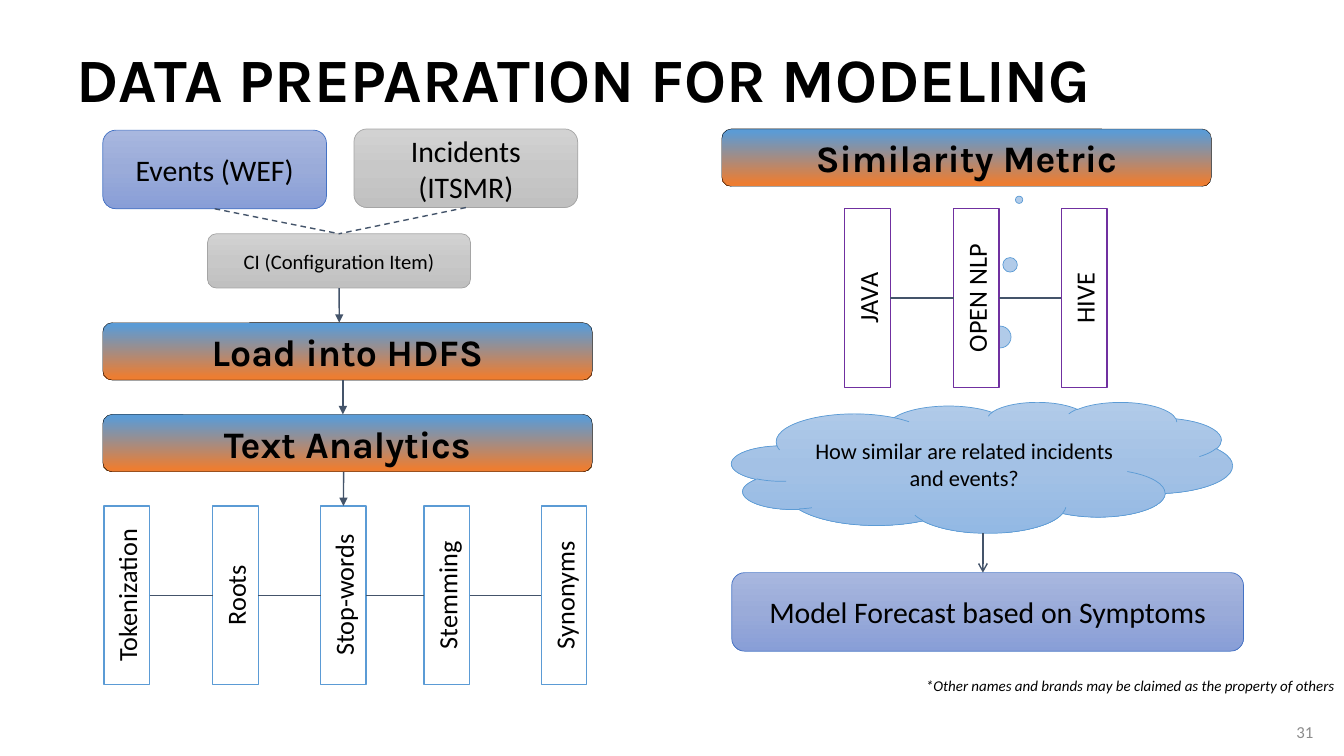
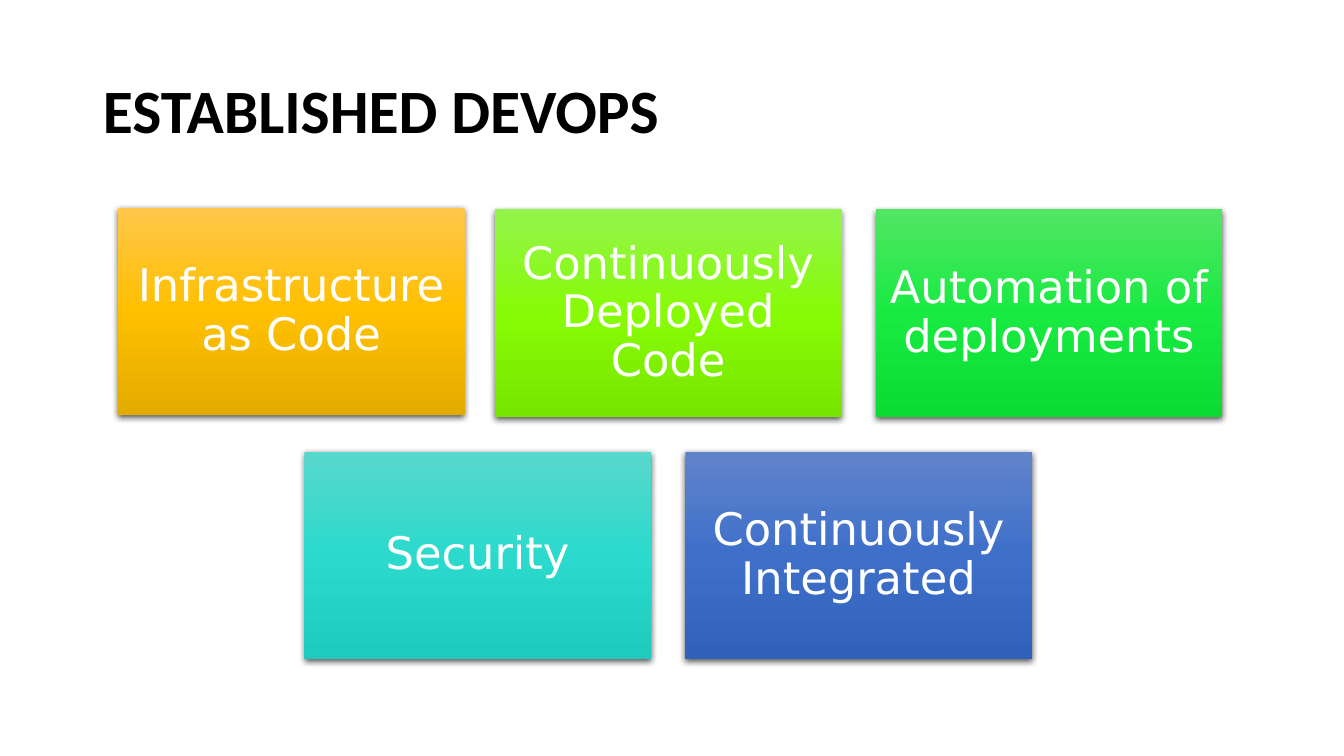
import pptx
import pptx.dml.color
import pptx.enum.dml
import pptx.enum.shapes
import pptx.enum.text
import pptx.oxml.ns
import pptx.util
from lxml import etree

Cm = pptx.util.Cm
Pt = pptx.util.Pt
RGBColor = pptx.dml.color.RGBColor
SHAPE = pptx.enum.shapes.MSO_SHAPE
ALIGN = pptx.enum.text.PP_ALIGN
ANCHOR = pptx.enum.text.MSO_ANCHOR
qn = pptx.oxml.ns.qn

# Colours
BLACK = RGBColor(0x00, 0x00, 0x00)
WHITE = RGBColor(0xFF, 0xFF, 0xFF)
GRAY = RGBColor(0xA5, 0xA5, 0xA5)
NUMBER_GRAY = RGBColor(0x8C, 0x8C, 0x8C)
SLATE = RGBColor(0x44, 0x54, 0x6A)
BLUE = RGBColor(0x5B, 0x9B, 0xD5)
INDIGO = RGBColor(0x44, 0x72, 0xC4)
PURPLE = RGBColor(0x70, 0x30, 0xA0)
ORANGE = RGBColor(0xED, 0x7D, 0x31)


def even_stops(*hex_colors):
    """Three colours placed at the start, middle and end of a gradient."""
    return [(position, RGBColor.from_string(color))
            for position, color in zip((0, 50, 100), hex_colors)]


BAND_STOPS = [(5, BLUE), (95, ORANGE)]
INDIGO_STOPS = even_stops("A8B7DF", "9AABD9", "889ED7")
GRAY_STOPS = even_stops("D2D2D2", "C8C8C8", "C0C0C0")
CLOUD_STOPS = even_stops("B1CBE9", "A3C1E5", "93B9E4")

# Shared sizes, in centimetres
BAND_WIDTH, BAND_HEIGHT = 12.34, 1.45
LEFT_EDGE = 2.59
BOX_HEIGHT = 1.98
STRIP_WIDTH, STRIP_HEIGHT = 1.15, 4.5
CARD_WIDTH, CARD_HEIGHT = 8.74, 5.23

# Rows of upright labels: text and left edge
ANALYTICS_STEPS = [("Tokenization", 2.62), ("Roots", 5.36), ("Stop-words", 8.08),
                   ("Stemming", 10.69), ("Synonyms", 13.64)]
SIMILARITY_TOOLS = [("JAVA", 21.29), ("OPEN NLP", 24.03), ("HIVE", 26.75)]

# Cards: text, left, top, gradient
CARDS = [
    ("Infrastructure as Code", 2.97, 5.23, even_stops("FFC64B", "FFC000", "E3AB00")),
    ("Continuously Deployed Code", 12.47, 5.28, even_stops("94F44C", "87FB06", "78E500")),
    ("Automation of deployments", 22.07, 5.28, even_stops("51E663", "19EA42", "0CDB34")),
    ("Security", 7.67, 11.38, even_stops("58D8CC", "2BDACC", "1ECBBD")),
    ("Continuously Integrated", 17.27, 11.38, even_stops("6183CB", "3E70CA", "3062BB")),
]


def box(left, top, width, height):
    return Cm(left), Cm(top), Cm(width), Cm(height)


def set_text(shape, text, size, color=BLACK, font="Calibri", bold=False,
             italic=False, align=ALIGN.CENTER, spacing=None):
    frame = shape.text_frame
    frame.word_wrap = True
    frame.vertical_anchor = ANCHOR.MIDDLE
    frame.text = text
    paragraph = frame.paragraphs[0]
    paragraph.alignment = align
    paragraph.line_spacing = spacing
    run_font = paragraph.runs[0].font
    run_font.name, run_font.size = font, Pt(size)
    run_font.bold, run_font.italic = bold, italic
    run_font.color.rgb = color


def set_margins(shape, horizontal, vertical):
    frame = shape.text_frame
    frame.margin_left = frame.margin_right = Cm(horizontal)
    frame.margin_top = frame.margin_bottom = Cm(vertical)


def set_gradient(shape, stops):
    """Fill from top to bottom with (percent, colour) stops."""
    shape.fill.gradient()
    gradient = shape.element.spPr.find(qn("a:gradFill"))
    for child in list(gradient):
        gradient.remove(child)
    stop_list = etree.SubElement(gradient, qn("a:gsLst"))
    for position, color in stops:
        stop = etree.SubElement(stop_list, qn("a:gs"), pos=str(position * 1000))
        etree.SubElement(stop, qn("a:srgbClr"), val=str(color))
    etree.SubElement(gradient, qn("a:lin"), ang="5400000", scaled="0")


def set_line(line, color, width):
    line.color.rgb = color
    line.width = Pt(width)


def add_slide(presentation, title, bounds, font):
    slide = presentation.slides.add_slide(presentation.slide_layouts[5])
    shape = slide.shapes.title
    shape.left, shape.top, shape.width, shape.height = box(*bounds)
    set_text(shape, title, 44, font=font, bold=True, align=ALIGN.LEFT, spacing=0.9)
    shape.text_frame.auto_size = pptx.enum.text.MSO_AUTO_SIZE.NONE
    return slide


def add_block(slide, text, bounds, stops, line_color, size,
              kind=SHAPE.ROUNDED_RECTANGLE, line_width=0.5, **style):
    shape = slide.shapes.add_shape(kind, *box(*bounds))
    shape.shadow.inherit = False
    set_gradient(shape, stops)
    set_line(shape.line, line_color, line_width)
    set_text(shape, text, size, **style)
    return shape


def add_band(slide, text, left, top):
    return add_block(slide, text, (left, top, BAND_WIDTH, BAND_HEIGHT), BAND_STOPS,
                     BLACK, 26.7, line_width=0.25, font="Karla", bold=True)


def add_connector(slide, start, end, arrow=None, dashed=False):
    """Each end is a point (x, y) or a (shape, site) pair to join."""
    points = [(0, 0) if hasattr(place[0], "shape_id") else place for place in (start, end)]
    connector = slide.shapes.add_connector(
        pptx.enum.shapes.MSO_CONNECTOR.STRAIGHT,
        *[Cm(value) for point in points for value in point])
    for place, join in ((start, connector.begin_connect), (end, connector.end_connect)):
        if hasattr(place[0], "shape_id"):
            join(*place)
    set_line(connector.line, SLATE, 1)
    if dashed:
        connector.line.dash_style = pptx.enum.dml.MSO_LINE.DASH
    properties = connector.element.spPr
    if arrow:
        etree.SubElement(properties.find(qn("a:ln")), qn("a:tailEnd"), type=arrow)
    etree.SubElement(properties, qn("a:effectLst"))


def add_strips(slide, labels, top, line_color):
    """A row of upright labels joined side to side."""
    strips = []
    for text, left in labels:
        strip = slide.shapes.add_shape(
            SHAPE.RECTANGLE, *box(left, top, STRIP_WIDTH, STRIP_HEIGHT))
        strip.shadow.inherit = False
        strip.fill.solid()
        strip.fill.fore_color.rgb = WHITE
        set_line(strip.line, line_color, 1)
        set_text(strip, text, 18.7)
        set_margins(strip, 0.13, 0.25)
        strip.text_frame._txBody.bodyPr.set("vert", "vert270")
        strips.append(strip)
    for before, after in zip(strips, strips[1:]):
        add_connector(slide, (before, 3), (after, 1))
    return strips


def add_slide_number(slide, number):
    text_box = slide.shapes.add_textbox(*box(25.45, 17.93, 7.9, 1.02))
    set_text(text_box, str(number), 12, color=NUMBER_GRAY, align=ALIGN.RIGHT)
    run = text_box.text_frame.paragraphs[0].runs[0]._r
    field = etree.Element(qn("a:fld"), type="slidenum",
                          id="{B6F15528-21DE-4FAA-801E-634DDDAF4B2B}")
    run.addprevious(field)
    field.extend(list(run))
    field.getparent().remove(run)


def add_card(slide, text, left, top, stops):
    card = slide.shapes.add_shape(SHAPE.RECTANGLE, *box(left, top, CARD_WIDTH, CARD_HEIGHT))
    card.shadow.inherit = False
    set_gradient(card, stops)
    card.line.fill.background()
    set_text(card, text, 32, color=WHITE, font="DejaVu Sans", spacing=0.9)
    set_margins(card, 0.33, 0.33)
    # Soft shadow below the card
    shadow = etree.SubElement(
        card.element.spPr.find(qn("a:effectLst")), qn("a:outerShdw"),
        blurRad=str(Pt(4.5)), dist=str(Pt(1.5)), dir="5400000", rotWithShape="0")
    color = etree.SubElement(shadow, qn("a:srgbClr"), val=str(BLACK))
    etree.SubElement(color, qn("a:alpha"), val="63000")


def build_preparation(presentation):
    slide = add_slide(presentation, "DATA PREPARATION FOR MODELING",
                      (1.68, 0.84, 30.48, 2.46), "Karla")

    # Left: from sources to text analytics
    add_band_top = 8.13
    add_band(slide, "Load into HDFS", LEFT_EDGE, add_band_top)
    events = add_block(slide, "Events (WEF)", (LEFT_EDGE, 3.28, 5.64, BOX_HEIGHT),
                       INDIGO_STOPS, INDIGO, 21.3)
    incidents = add_block(slide, "Incidents (ITSMR)", (8.92, 3.25, 5.64, BOX_HEIGHT),
                          GRAY_STOPS, GRAY, 21.3)
    item = add_block(slide, "CI (Configuration Item)", (5.23, 5.89, 6.63, 1.37),
                     GRAY_STOPS, GRAY, 14.7)
    add_connector(slide, (item, 2), (8.55, add_band_top), arrow="triangle")
    for source in (events, incidents):
        add_connector(slide, (source, 2), (item, 0), dashed=True)
    add_band(slide, "Text Analytics", LEFT_EDGE, 10.44)
    add_connector(slide, (8.64, 9.58), (8.64, 10.44), arrow="triangle")
    steps = add_strips(slide, ANALYTICS_STEPS, 12.75, BLUE)
    add_connector(slide, (8.66, 11.89), (steps[2], 0), arrow="triangle")

    # Right: similarity and forecast
    add_band(slide, "Similarity Metric", 18.19, 3.25)
    cloud = add_block(slide, "How similar are related incidents and events?",
                      (18.44, 10.13, 12.62, 3.3), CLOUD_STOPS, BLUE, 16,
                      kind=SHAPE.CLOUD_CALLOUT)
    cloud.adjustments[0], cloud.adjustments[1] = 0.074, -2.044
    add_strips(slide, SIMILARITY_TOOLS, 5.26, PURPLE)
    add_block(slide, "Model Forecast based on Symptoms", (18.44, 14.43, 12.9, BOX_HEIGHT),
              INDIGO_STOPS, INDIGO, 21.3)
    add_connector(slide, (24.77, 13.44), (24.77, 14.43), arrow="arrow")

    # Footer
    note = slide.shapes.add_textbox(*box(22.66, 16.89, 11.18, 0.79))
    set_text(note, "*Other names and brands may be claimed as the property of others",
             10.7, italic=True, align=ALIGN.RIGHT, spacing=0.95)
    set_margins(note, 0.2, 0.17)
    add_slide_number(slide, 31)


def build_devops(presentation):
    slide = add_slide(presentation, "ESTABLISHED DEVOPS",
                      (2.34, 1.02, 29.21, 3.68), "Calibri")
    for card in CARDS:
        add_card(slide, *card)


def main():
    presentation = pptx.Presentation()
    presentation.slide_width, presentation.slide_height = Cm(33.87), Cm(19.05)
    presentation.element.set("firstSlideNum", "31")
    build_preparation(presentation)
    build_devops(presentation)
    presentation.save("out.pptx")


if __name__ == "__main__":
    main()
